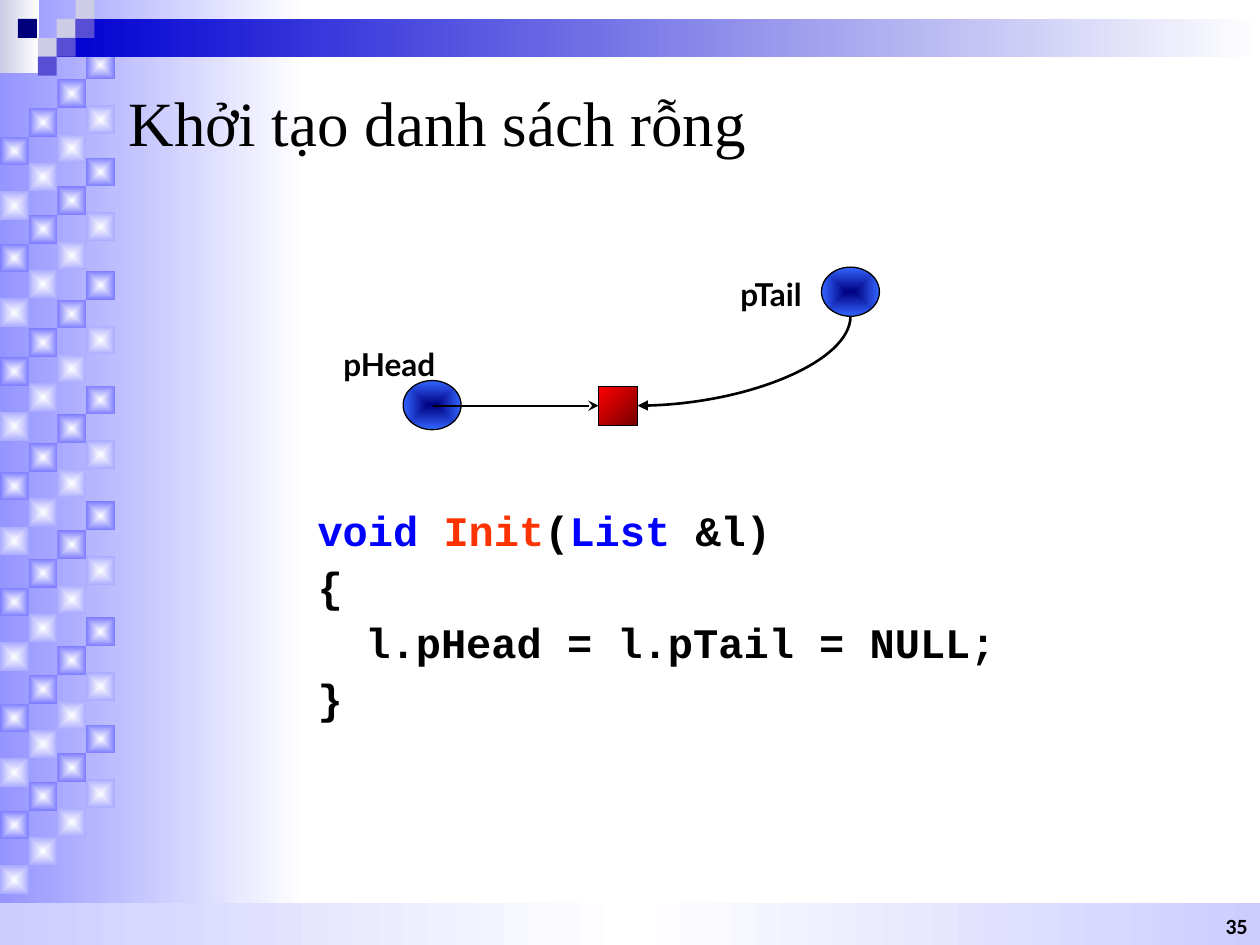
from lxml.etree import SubElement
from pptx import Presentation
from pptx.dml.color import RGBColor
from pptx.enum.shapes import MSO_CONNECTOR, MSO_SHAPE
from pptx.enum.text import MSO_ANCHOR, MSO_AUTO_SIZE, PP_ALIGN
from pptx.oxml.ns import qn
from pptx.util import Inches, Pt

U = Inches(0.1)  # one grid unit: the slide is 100 columns by 75 rows
COLS, ROWS = 100, 75

BLACK = RGBColor(0x00, 0x00, 0x00)
WHITE = RGBColor(0xFF, 0xFF, 0xFF)
PERIWINKLE = RGBColor(0x95, 0x95, 0xFF)
TILE_DARK = RGBColor(0x7D, 0x7D, 0xFF)
TILE_LIGHT = RGBColor(0xAB, 0xAB, 0xFF)
LAVENDER = RGBColor(0xCC, 0xCC, 0xFF)
GREY_BLUE = RGBColor(0xCC, 0xCC, 0xE6)
BAR_BLUE = RGBColor(0x00, 0x00, 0xD2)
VIOLET = RGBColor(0x58, 0x4E, 0xD4)
NAVY = RGBColor(0x00, 0x00, 0x7D)
NODE_CORE = RGBColor(0x00, 0x00, 0x80)
NODE_EDGE = RGBColor(0x33, 0x66, 0xFF)
RED = RGBColor(0xFF, 0x00, 0x00)
DARK_RED = RGBColor(0x76, 0x00, 0x00)
KEYWORD = RGBColor(0x00, 0x00, 0xFF)
FUNCTION = RGBColor(0xFF, 0x33, 0x00)

prs = Presentation()
prs.slide_width, prs.slide_height = COLS * U, ROWS * U
s = prs.slides.add_slide(prs.slide_layouts[1])


def add_box(box, colors, angle=0, kind=MSO_SHAPE.RECTANGLE, outlined=False):
    """Add a shape; several colours make a gradient, from the centre if angle is None."""
    sp = s.shapes.add_shape(kind, *(int(v * U) for v in box))
    sp.shadow.inherit = False
    if outlined:
        sp.line.color.rgb, sp.line.width = BLACK, Pt(0.75)
    else:
        sp.line.fill.background()
    if len(colors) == 1:
        sp.fill.solid()
        sp.fill.fore_color.rgb = colors[0]
        return sp
    sp.fill.gradient()
    grad = sp._element.spPr.find(qn("a:gradFill"))
    for child in list(grad):
        grad.remove(child)
    stops = SubElement(grad, qn("a:gsLst"))
    for i, color in enumerate(colors):
        stop = SubElement(stops, qn("a:gs"), pos=str(i * 100000 // (len(colors) - 1)))
        SubElement(stop, qn("a:srgbClr"), val=str(color))
    if angle is None:
        path = SubElement(grad, qn("a:path"), path="rect")
        SubElement(path, qn("a:fillToRect"), l="50000", t="50000", r="50000", b="50000")
    else:
        SubElement(grad, qn("a:lin"), ang=str(angle * 60000), scaled="0")
    return sp


def add_runs(p, parts, **font):
    for text, color in parts:
        r = p.add_run()
        r.text = text
        r.font.color.rgb = color
        for name, value in font.items():
            setattr(r.font, name, value)


# Side band with diagonal stairs of tiles
add_box((0, 0, 24.2, ROWS), [PERIWINKLE, WHITE])
TILE = 2.28
for top in (4, 12.5, 21.5, 30.6, 39.8, 49, 57.5):
    for drop, color in ((0, TILE_DARK), (4.35, TILE_LIGHT)):
        for col in range(4):
            y = top + drop + (3 - col) * TILE
            add_box((col * TILE, y, TILE, TILE), [WHITE, color], angle=None)

# Footer and header bands
add_box((0, 71.7, COLS, 3.3), [LAVENDER, WHITE, LAVENDER])
add_box((0, 0, 3.1, 5.8), [GREY_BLUE, WHITE])
add_box((4.5, 1.5, 95.5, 3), [BAR_BLUE, WHITE])
CELL = 1.5
for col, row, color in (
    (3, 1, GREY_BLUE), (4, 0, GREY_BLUE), (4, 1, VIOLET), (2, 2, GREY_BLUE),
    (0.95, 1, NAVY), (3, 2, VIOLET), (2, 3, VIOLET),
):
    add_box((col * CELL, row * CELL, CELL, CELL), [color])

# Title and code placeholders, brought in front of the bands
title, body = s.shapes.title, s.placeholders[1]
for sp, box, anchor in (
    (title, (9.2, 5, 85.8, 9.2), MSO_ANCHOR.MIDDLE),
    (body, (24.2, 40, 63.3, 19.2), MSO_ANCHOR.TOP),
):
    s.shapes._spTree.append(sp._element)
    sp.left, sp.top, sp.width, sp.height = (int(v * U) for v in box)
    frame = {"word_wrap": True, "auto_size": MSO_AUTO_SIZE.NONE, "vertical_anchor": anchor}
    for name, value in frame.items():
        setattr(sp.text_frame, name, value)

p = title.text_frame.paragraphs[0]
p.alignment = PP_ALIGN.LEFT
add_runs(p, [("Khởi tạo danh sách rỗng", BLACK)], name="Times New Roman", size=Pt(36))

code = [
    [("void ", KEYWORD), ("Init", FUNCTION), ("(", BLACK), ("List", KEYWORD), (" &l)", BLACK)],
    [("{", BLACK)],
    [("\tl.pHead = l.pTail = NULL;", BLACK)],
    [("}", BLACK)],
]
tf = body.text_frame
for i, parts in enumerate(code):
    p = tf.add_paragraph() if i else tf.paragraphs[0]
    pPr = p._p.get_or_add_pPr()
    pPr.set("marL", str(Inches(0.38)))
    pPr.set("indent", str(-Inches(0.38)))
    SubElement(pPr, qn("a:buNone"))
    layout = {"alignment": PP_ALIGN.JUSTIFY, "line_spacing": 0.9, "space_before": Pt(6 if i else 0)}
    for name, value in layout.items():
        setattr(p, name, value)
    add_runs(p, parts, name="Courier New", size=Pt(24), bold=True)

# Pointers and the empty node
for x, y in ((32, 30.2), (65.2, 21.2)):
    add_box((x, y, 4.6, 3.9), [NODE_CORE, NODE_EDGE], None, MSO_SHAPE.OVAL, outlined=True)
add_box((47.5, 30.7, 3.1, 3.1), [RED, DARK_RED], 45, outlined=True)

# The curve is laid out upright, then turned a quarter
for kind, ends, width, head in (
    (MSO_CONNECTOR.STRAIGHT, (34.4, 32.2, 47.5, 32.2), 1.25, "stealth"),
    (MSO_CONNECTOR.CURVE, (55.5, 20.2, 62.6, 37.1), 1.5, "triangle"),
):
    line = s.shapes.add_connector(kind, *(int(v * U) for v in ends))
    line.line.color.rgb, line.line.width = BLACK, Pt(width)
    spPr = line._element.spPr
    SubElement(spPr.find(qn("a:ln")), qn("a:tailEnd"), type=head)
    SubElement(spPr, qn("a:effectLst"))
    if kind == MSO_CONNECTOR.CURVE:
        spPr.find(qn("a:prstGeom")).set("prst", "curvedConnector2")
        spPr.find(qn("a:xfrm")).set("rot", str(90 * 60000))

# Pointer labels and slide number
MID, RIGHT = PP_ALIGN.CENTER, PP_ALIGN.RIGHT
for text, box, font, size, align, anchor, inset in (
    ("pHead", (26.4, 26.8, 9, 4.2), "Lato", 18, MID, MSO_ANCHOR.MIDDLE, (0, 0)),
    ("pTail", (56.7, 21.2, 9, 4.2), "Lato", 18, MID, MSO_ANCHOR.MIDDLE, (0, 0)),
    ("35", (76.7, 71.7, 23.3, 3.3), "Calibri", 12.4, RIGHT, MSO_ANCHOR.BOTTOM, (1, 0.5)),
):
    tf = s.shapes.add_textbox(*(int(v * U) for v in box)).text_frame
    tf.word_wrap, tf.vertical_anchor = True, anchor
    tf.margin_left = tf.margin_right = int(inset[0] * U)
    tf.margin_top = tf.margin_bottom = int(inset[1] * U)
    p = tf.paragraphs[0]
    p.alignment = align
    if align == RIGHT:
        p.line_spacing = 0.8
    add_runs(p, [(text, BLACK)], name=font, size=Pt(size), bold=True)

prs.save("out.pptx")
